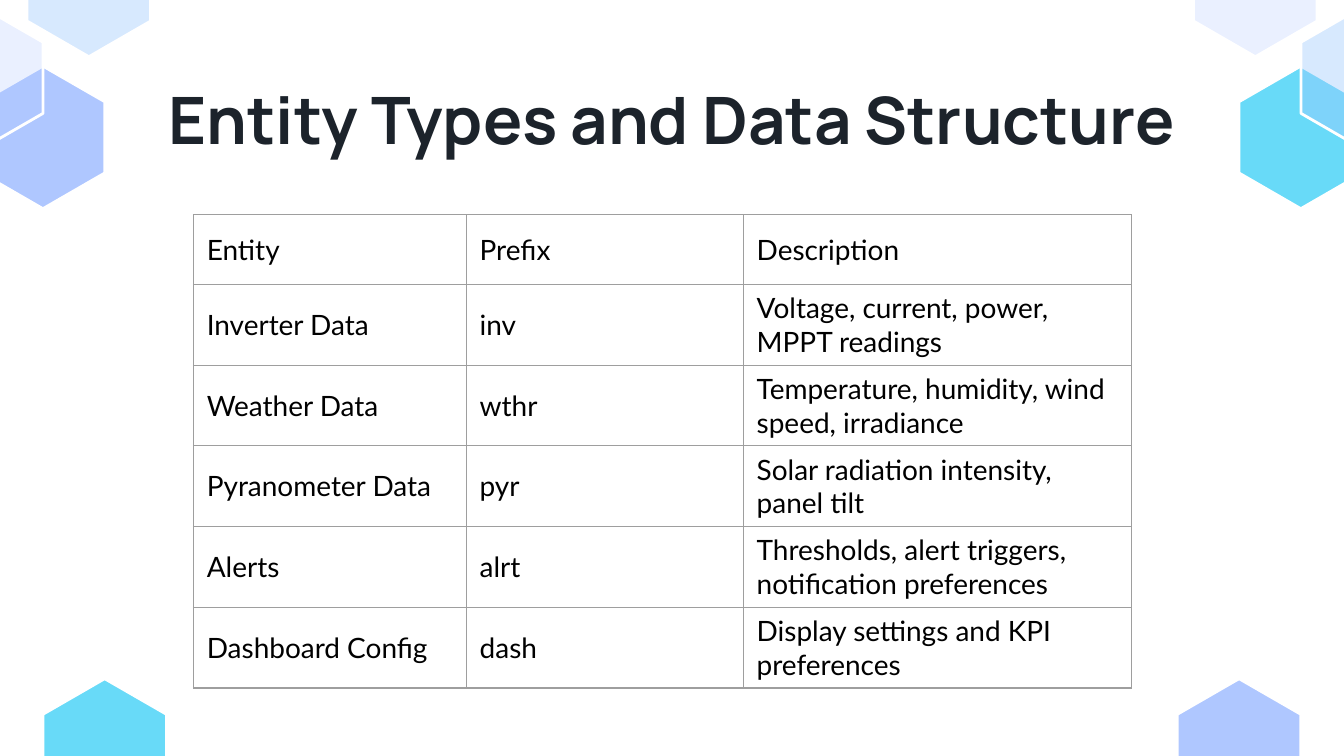
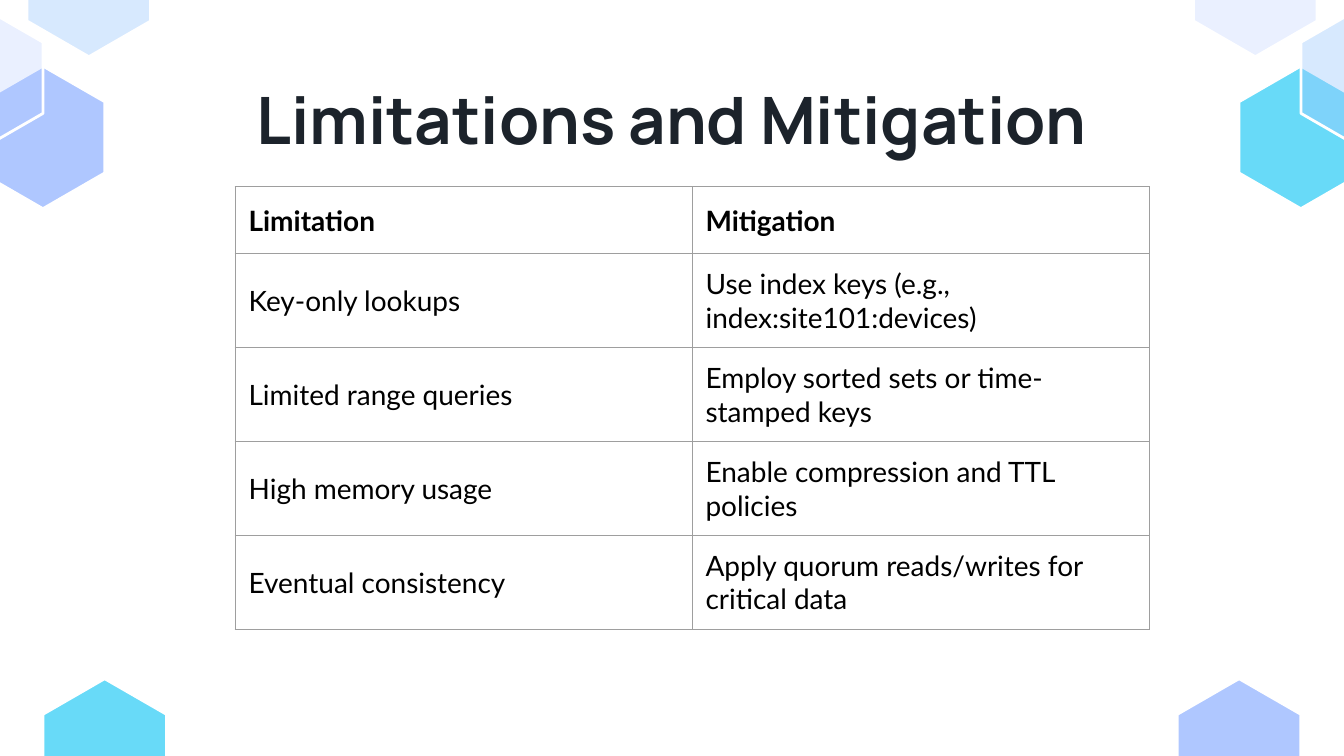
from lxml import etree
from pptx import Presentation
from pptx.dml.color import RGBColor
from pptx.enum import text
from pptx.oxml import ns
from pptx.util import Pt

WHITE = RGBColor(0xFF, 0xFF, 0xFF)
BLACK = RGBColor(0x00, 0x00, 0x00)
INK = RGBColor(0x1C, 0x23, 0x2B)
GRID = RGBColor(0x9E, 0x9E, 0x9E)
CYAN = RGBColor(0x68, 0xDA, 0xF8)
PERIWINKLE = RGBColor(0xAF, 0xC7, 0xFF)
SKY = RGBColor(0x9F, 0xCB, 0xFD)

HEX_W, HEX_H = 66.2, 76.4
# left, top, colour, opacity in percent, from back to front
HEXAGONS = [
    (23, 363.6, CYAN, 100),
    (630.7, 363.6, PERIWINKLE, 100),
    (-10.1, 35.4, PERIWINKLE, 100),
    (-43.2, 3.5, PERIWINKLE, 25),
    (14.5, -46, SKY, 41),
    (663.8, 35.4, CYAN, 100),
    (697, 3.5, SKY, 41),
    (639.4, -46, PERIWINKLE, 25),
]

ENTITIES = [
    ("Entity", "Prefix", "Description"),
    ("Inverter Data", "inv", "Voltage, current, power, MPPT readings"),
    ("Weather Data", "wthr", "Temperature, humidity, wind speed, irradiance"),
    ("Pyranometer Data", "pyr", "Solar radiation intensity, panel tilt"),
    ("Alerts", "alrt", "Thresholds, alert triggers, notification preferences"),
    ("Dashboard Config", "dash", "Display settings and KPI preferences"),
]
LIMITATIONS = [
    ("Limitation", "Mitigation"),
    ("Key-only lookups", "Use index keys (e.g., index:site101:devices)"),
    ("Limited range queries", "Employ sorted sets or time-stamped keys"),
    ("High memory usage", "Enable compression and TTL policies"),
    ("Eventual consistency", "Apply quorum reads/writes for critical data"),
]


def write(tf, content, font="Lato", size=15, color=BLACK, bold=False,
          align=text.PP_ALIGN.LEFT):
    p = tf.paragraphs[0]
    p.alignment = align
    r = p.add_run()
    r.text = content
    r.font.name, r.font.size, r.font.bold = font, Pt(size), bold
    r.font.color.rgb = color


def add_hexagon(slide, left, top, color, opacity):
    mid, right = left + HEX_W / 2, left + HEX_W
    upper, lower = top + HEX_H / 4, top + HEX_H * 3 / 4
    corners = [(left, upper), (left, lower), (mid, top + HEX_H),
               (right, lower), (right, upper)]
    fb = slide.shapes.build_freeform(Pt(mid), Pt(top))
    fb.add_line_segments([(Pt(x), Pt(y)) for x, y in corners], close=True)
    sp = fb.convert_to_shape()
    sp.shadow.inherit = False
    sp.fill.solid()
    sp.fill.fore_color.rgb = color
    sp.line.color.rgb = WHITE
    sp.line.width = Pt(1.5)
    if opacity < 100:
        clr = sp.fill._xPr.find(ns.qn("a:solidFill"))[0]
        etree.SubElement(clr, ns.qn("a:alpha"), val=str(opacity * 1000))


def add_title(slide, content):
    sp = slide.shapes.title
    sp.left, sp.top, sp.width, sp.height = Pt(56.7), Pt(35.4), Pt(606.6), Pt(45)
    tf = sp.text_frame
    tf.word_wrap = True
    tf.auto_size = text.MSO_AUTO_SIZE.NONE
    tf.vertical_anchor = text.MSO_ANCHOR.TOP
    tf.margin_left = tf.margin_right = tf.margin_top = tf.margin_bottom = Pt(7.2)
    write(tf, content, font="Manrope", size=35, color=INK, bold=True,
          align=text.PP_ALIGN.CENTER)


def add_borders(cell):
    tc_pr = cell._tc.get_or_add_tcPr()
    for side in ("lnL", "lnR", "lnT", "lnB"):
        ln = etree.SubElement(tc_pr, ns.qn("a:" + side), w=str(Pt(0.75)))
        fill = etree.SubElement(ln, ns.qn("a:solidFill"))
        etree.SubElement(fill, ns.qn("a:srgbClr"), val=str(GRID))


def add_grid(slide, rows, left, top, widths, head_height, row_height,
             bold_head=False):
    heights = [head_height] + [row_height] * (len(rows) - 1)
    frame = slide.shapes.add_table(len(rows), len(widths), Pt(left), Pt(top),
                                   Pt(sum(widths)), Pt(sum(heights)))
    table = frame.table
    table.first_row = table.horz_banding = False
    for column, width in zip(table.columns, widths):
        column.width = Pt(width)
    for i, (values, height) in enumerate(zip(rows, heights)):
        table.rows[i].height = Pt(height)
        for j, value in enumerate(values):
            cell = table.cell(i, j)
            add_borders(cell)
            cell.fill.background()
            cell.vertical_anchor = text.MSO_ANCHOR.MIDDLE
            write(cell.text_frame, value, bold=bold_head and i == 0)


def add_slide(prs, title):
    slide = prs.slides.add_slide(prs.slide_layouts[5])
    slide.background.fill.solid()
    slide.background.fill.fore_color.rgb = WHITE
    for hexagon in HEXAGONS:
        add_hexagon(slide, *hexagon)
    add_title(slide, title)
    return slide


def main():
    prs = Presentation()
    prs.slide_width, prs.slide_height = Pt(720), Pt(405)

    # Entity types
    slide = add_slide(prs, "Entity Types and Data Structure")
    add_grid(slide, ENTITIES, 103.6, 115, [146.2, 148.4, 208], 37.4, 43.2)

    # Limitations
    slide = add_slide(prs, "Limitations and Mitigation")
    add_grid(slide, LIMITATIONS, 126, 100, [244.8, 244.8], 36, 50.3,
             bold_head=True)

    prs.save("out.pptx")


if __name__ == "__main__":
    main()
